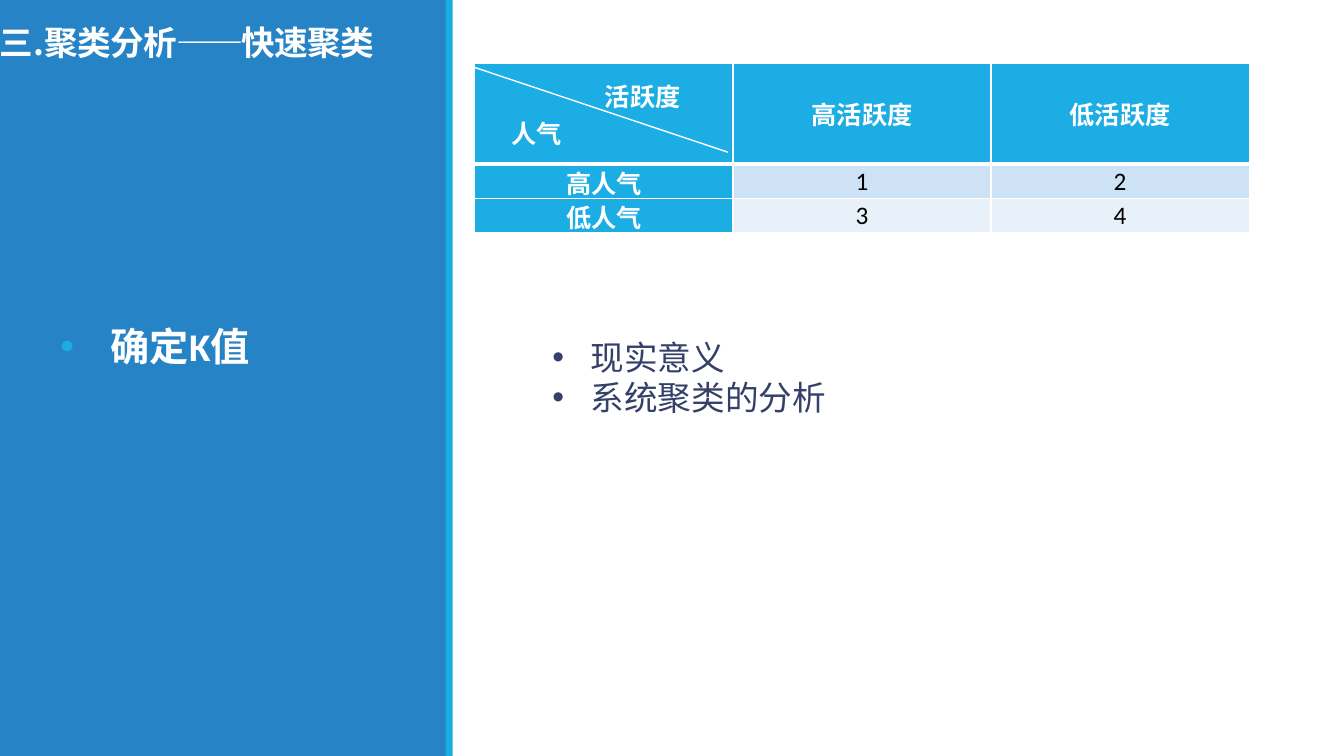
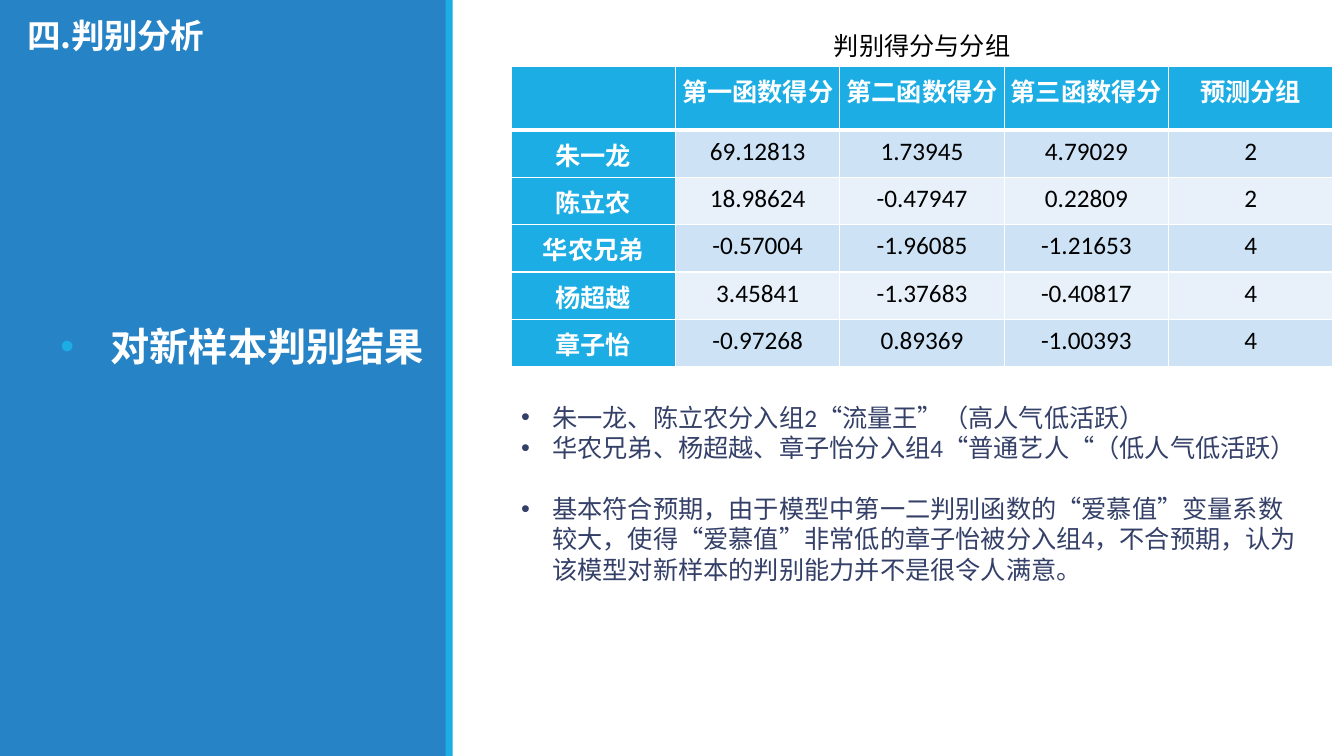
from lxml import etree
from pptx import Presentation
from pptx.dml.color import RGBColor
from pptx.enum.shapes import MSO_CONNECTOR, MSO_SHAPE
from pptx.enum.text import MSO_ANCHOR, PP_ALIGN
from pptx.oxml.ns import qn
from pptx.util import Inches, Pt

# Shared look
BLUE, CYAN, WHITE, BLACK, NAVY = "2683C6", "1CADE4", "FFFFFF", "000000", "344068"
ROW_TINTS = ("CDE3F5", "E8F1FA")
LATIN, CJK = "Calibri", "Noto Sans CJK SC"
SLIDE_W, SLIDE_H = 13.33, 7.5


def color(hex_value):
    return RGBColor.from_string(hex_value)


def style(paragraph, size, hex_value, bold=False, font=LATIN, spacing=None):
    for run in paragraph.runs:
        run.font.size = Pt(size)
        run.font.bold = bold
        run.font.name = font
        run.font.color.rgb = color(hex_value)
        properties = run._r.get_or_add_rPr()
        properties.set("lang", "zh-CN")
        if spacing is not None:
            properties.set("spc", str(int(spacing * 100)))
        etree.SubElement(properties, qn("a:ea")).set("typeface", CJK)


def indent(paragraph, left, first=0):
    properties = paragraph._p.get_or_add_pPr()
    properties.set("marL", str(Inches(left)))
    properties.set("indent", str(Inches(first)))
    return properties


def bullet(paragraph, hang, hex_value=None):
    properties = indent(paragraph, hang, -hang)
    if hex_value:
        bullet_color = etree.SubElement(properties, qn("a:buClr"))
        etree.SubElement(bullet_color, qn("a:srgbClr")).set("val", hex_value)
    etree.SubElement(properties, qn("a:buFont")).set("typeface", "Arial")
    etree.SubElement(properties, qn("a:buChar")).set("char", "•")


def text_area(slide, left, top, width, height):
    area = slide.shapes.add_textbox(Inches(left), Inches(top), Inches(width), Inches(height))
    area.text_frame.word_wrap = True
    return area.text_frame


# Left panel: bands, section title, topic
def side_panel(slide, section, section_left, section_bottom, topic):
    for left, width, fill in ((0, 4.43, BLUE), (4.42, 0.07, CYAN)):
        band = slide.shapes.add_shape(MSO_SHAPE.RECTANGLE, Inches(left), 0,
                                      Inches(width), Inches(SLIDE_H))
        band.shadow.inherit = False
        band.fill.solid()
        band.fill.fore_color.rgb = color(fill)
        band.line.fill.background()

    title = text_area(slide, section_left, 0, 4.4, section_bottom)
    title.margin_left = 0
    title.vertical_anchor = MSO_ANCHOR.BOTTOM
    title.text = section
    title.paragraphs[0].line_spacing = 0.85
    style(title.paragraphs[0], 24, WHITE, True, CJK, -0.5)

    subject = text_area(slide, 0.5, 3.2, 3.94, 3.7)
    subject.text = topic
    bullet(subject.paragraphs[0], 0.5, CYAN)
    subject.paragraphs[0].line_spacing = 0.9
    style(subject.paragraphs[0], 28, WHITE, True)


def bullet_list(slide, box, lines, size, hang):
    frame = text_area(slide, *box)
    frame.text = "\n".join(lines)
    for paragraph in frame.paragraphs:
        bullet(paragraph, hang)
        style(paragraph, size, NAVY)
    return frame


# Tables
def cell_borders(cell, top, bottom):
    properties = cell._tc.get_or_add_tcPr()
    for side, width in (("L", 1), ("R", 1), ("T", top), ("B", bottom)):
        edge = etree.SubElement(properties, qn(f"a:ln{side}"), w=str(Pt(width)))
        fill = etree.SubElement(edge, qn("a:solidFill"))
        etree.SubElement(fill, qn("a:srgbClr")).set("val", WHITE)


def score_table(slide, left, top, column_width, row_heights, rows, margins, anchor):
    table = slide.shapes.add_table(
        len(rows), len(rows[0]), Inches(left), Inches(top),
        Inches(column_width * len(rows[0])), Inches(sum(row_heights))).table
    table.first_row = table.horz_banding = False
    for column in table.columns:
        column.width = Inches(column_width)
    for r, values in enumerate(rows):
        table.rows[r].height = Inches(row_heights[r])
        for c, value in enumerate(values):
            cell = table.cell(r, c)
            heading = r == 0 or c == 0
            cell_borders(cell, 3 if r == 1 else 1, 3 if r == 0 else 1)
            cell.fill.solid()
            cell.fill.fore_color.rgb = color(CYAN if heading else ROW_TINTS[(r - 1) % 2])
            cell.margin_left = cell.margin_right = Inches(margins[0])
            cell.margin_top = cell.margin_bottom = Inches(margins[1])
            cell.vertical_anchor = anchor
            cell.text_frame.text = value
            for paragraph in cell.text_frame.paragraphs:
                paragraph.alignment = PP_ALIGN.CENTER
                style(paragraph, 18, WHITE if heading else BLACK, heading)
    return table


def split_corner(slide, table, left, top):
    for paragraph, offset in zip(table.cell(0, 0).text_frame.paragraphs, (1.22, 0.29)):
        paragraph.alignment = PP_ALIGN.LEFT
        indent(paragraph, offset)
    diagonal = slide.shapes.add_connector(
        MSO_CONNECTOR.STRAIGHT, Inches(left), Inches(top + 0.04),
        Inches(left + 2.51), Inches(top + 0.88))
    diagonal.line.color.rgb = color(WHITE)
    diagonal.line.width = Pt(1)
    etree.SubElement(diagonal._element.spPr, qn("a:effectLst"))


# Slides
def cluster_slide(slide):
    side_panel(slide, "三.聚类分析——快速聚类", 0, 0.67, "确定K值")
    left, top = 4.71, 0.63
    table = score_table(
        slide, left, top, 2.56, [1, 0.34, 0.34],
        [["活跃度\n人气", "高活跃度", "低活跃度"],
         ["高人气", "1", "2"],
         ["低人气", "3", "4"]],
        (0.07, 0), MSO_ANCHOR.MIDDLE)
    split_corner(slide, table, left, top)
    bullet_list(slide, (5.38, 3.29, 6.31, 0.91), ["现实意义", "系统聚类的分析"], 24, 0.38)


def discriminant_slide(slide):
    side_panel(slide, "四.判别分析", 0.27, 0.6, "对新样本判别结果")
    left, column_width = 5.07, 1.63
    rows = [
        ["", "第一函数得分", "第二函数得分", "第三函数得分", "预测分组"],
        ["朱一龙", "69.12813", "1.73945", "4.79029", "2"],
        ["陈立农", "18.98624", "-0.47947", "0.22809", "2"],
        ["华农兄弟", "-0.57004", "-1.96085", "-1.21653", "4"],
        ["杨超越", "3.45841", "-1.37683", "-0.40817", "4"],
        ["章子怡", "-0.97268", "0.89369", "-1.00393", "4"],
    ]
    score_table(slide, left, 0.66, column_width, [0.63] + [0.47] * 5, rows,
                (0.06, 0.06), MSO_ANCHOR.TOP)

    caption = text_area(slide, left, 0.25, column_width * 5, 0.4)
    caption.vertical_anchor = MSO_ANCHOR.MIDDLE
    caption.text = "判别得分与分组"
    caption.paragraphs[0].alignment = PP_ALIGN.CENTER
    style(caption.paragraphs[0], 18, BLACK)

    findings = bullet_list(slide, (left, 3.94, 7.97, 2.22), [
        "朱一龙、陈立农分入组2“流量王”（高人气低活跃）",
        "华农兄弟、杨超越、章子怡分入组4“普通艺人“（低人气低活跃）",
        "基本符合预期，由于模型中第一二判别函数的“爱慕值”变量系数较大，"
        "使得“爱慕值”非常低的章子怡被分入组4，不合预期，"
        "认为该模型对新样本的判别能力并不是很令人满意。",
    ], 18, 0.31)
    findings.paragraphs[-1].space_before = Pt(22)


def main():
    deck = Presentation()
    deck.slide_width, deck.slide_height = Inches(SLIDE_W), Inches(SLIDE_H)
    for build in (cluster_slide, discriminant_slide):
        build(deck.slides.add_slide(deck.slide_layouts[6]))
    deck.save("out.pptx")


if __name__ == "__main__":
    main()
